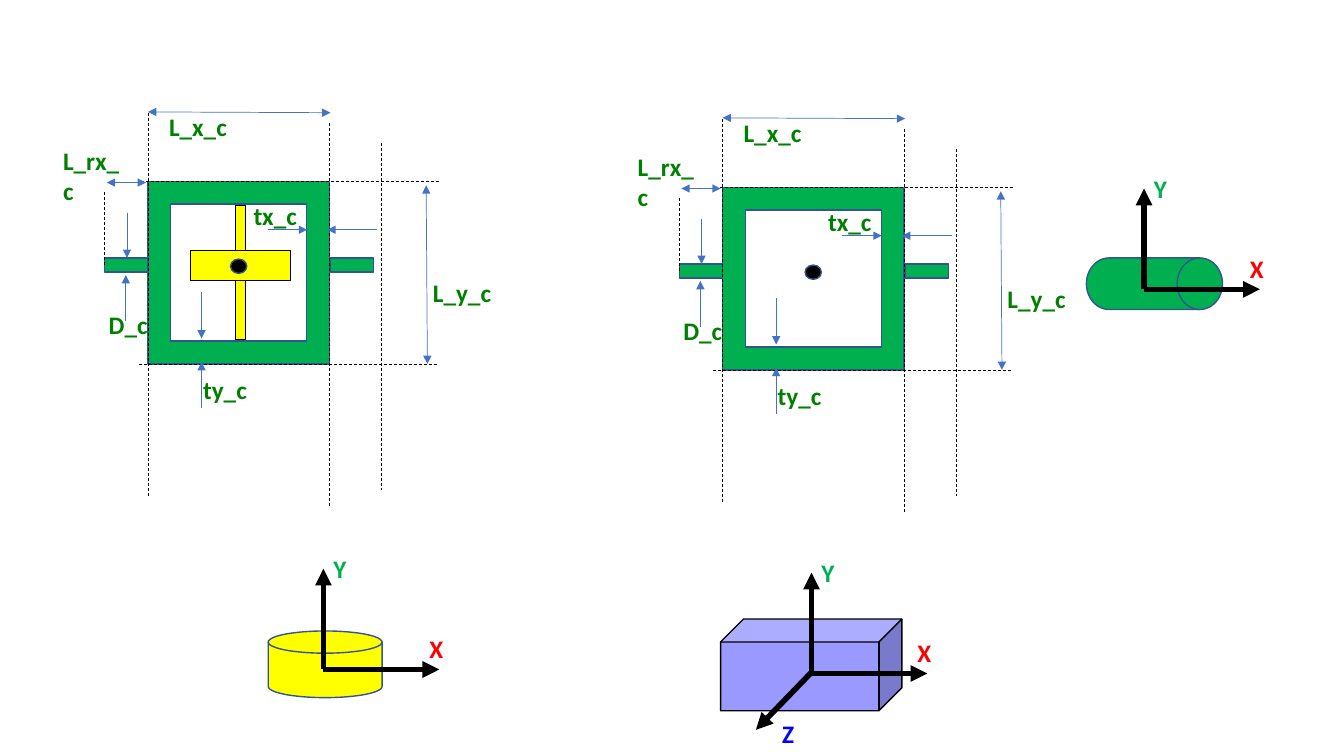
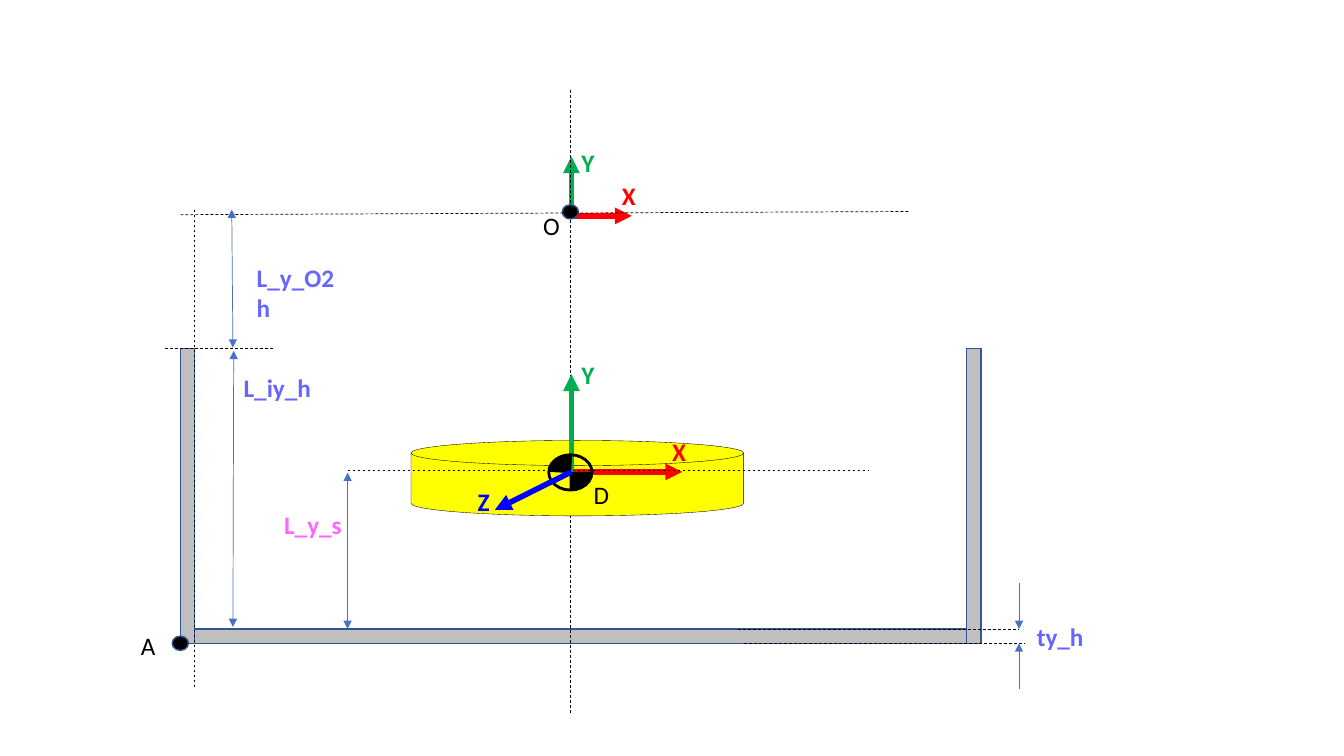
from lxml import etree
from pptx import Presentation
from pptx.dml.color import RGBColor
from pptx.enum.dml import MSO_LINE
from pptx.enum.shapes import MSO_CONNECTOR, MSO_SHAPE
from pptx.enum.text import MSO_AUTO_SIZE
from pptx.oxml.ns import qn
from pptx.util import Cm, Pt

BLACK = RGBColor(0x00, 0x00, 0x00)
GREEN = RGBColor(0x00, 0xB0, 0x50)
DARK_GREEN = RGBColor(0x00, 0x80, 0x00)
YELLOW = RGBColor(0xFF, 0xFF, 0x00)
RED = RGBColor(0xFF, 0x00, 0x00)
BLUE = RGBColor(0x00, 0x00, 0xFF)
GRAY = RGBColor(0xBF, 0xBF, 0xBF)
LILAC = RGBColor(0x99, 0x99, 0xFF)
VIOLET = RGBColor(0x66, 0x66, 0xFF)
PINK = RGBColor(0xFF, 0x66, 0xFF)
OUTLINE = RGBColor(0x32, 0x54, 0x91)
DIMENSION = RGBColor(0x44, 0x72, 0xC4)


class Drawing:
    """Draws on the current slide; all lengths are centimetres."""

    font_name = "Calibri"
    font_size = Pt(18)
    label_height = 1.02
    letter_width = 0.88

    def __init__(self):
        self.presentation = Presentation()
        self.presentation.slide_width = Cm(33.87)
        self.presentation.slide_height = Cm(19.05)
        self.slide = None

    def new_slide(self):
        layout = self.presentation.slide_layouts[6]
        self.slide = self.presentation.slides.add_slide(layout)

    def shape(self, kind, left, top, width, height, fill,
              line=OUTLINE, line_width=1):
        shape = self.slide.shapes.add_shape(
            kind, Cm(left), Cm(top), Cm(width), Cm(height))
        shape.shadow.inherit = False
        if fill is None:
            shape.fill.background()
        else:
            shape.fill.solid()
            shape.fill.fore_color.rgb = fill
        shape.line.color.rgb = line
        shape.line.width = Pt(line_width)
        return shape

    def dot(self, left, top):
        self.shape(MSO_SHAPE.OVAL, left, top, 0.41, 0.36, BLACK)

    def line(self, x1, y1, x2, y2, color, width, ends=()):
        """ends lists the arrowheads: headEnd at the start, tailEnd at the end."""
        connector = self.slide.shapes.add_connector(
            MSO_CONNECTOR.STRAIGHT, Cm(x1), Cm(y1), Cm(x2), Cm(y2))
        connector.line.color.rgb = color
        connector.line.width = Pt(width)
        line_xml = connector.line._get_or_add_ln()
        for end in ends:
            etree.SubElement(line_xml, qn(f"a:{end}"), type="triangle")
        etree.SubElement(connector._element.spPr, qn("a:effectLst"))
        return connector

    def dashed(self, *points):
        connector = self.line(*points, BLACK, 0.5)
        connector.line.dash_style = MSO_LINE.DASH
        return connector

    def pointer(self, *points):
        self.line(*points, DIMENSION, 0.5, ["tailEnd"])

    def dimension(self, *points):
        self.line(*points, DIMENSION, 0.5, ["headEnd", "tailEnd"])

    def axis(self, *points, color=BLACK):
        self.line(*points, color, 4, ["tailEnd"])

    def label(self, text, left, top, width, color, bold=True):
        box = self.slide.shapes.add_textbox(
            Cm(left), Cm(top), Cm(width), Cm(self.label_height))
        frame = box.text_frame
        frame.word_wrap = False
        frame.auto_size = MSO_AUTO_SIZE.SHAPE_TO_FIT_TEXT
        paragraph = frame.paragraphs[0]
        paragraph.text = text
        paragraph.font.name = self.font_name
        paragraph.font.size = self.font_size
        paragraph.font.bold = bold
        paragraph.font.color.rgb = color

    def letter(self, text, left, top, color, bold=True):
        self.label(text, left, top, self.letter_width, color, bold)

    def axes(self, x, y, x_length=2.92, y_length=2.54,
             x_color=BLACK, y_color=BLACK, y_label_rise=0.51):
        """X and Y arrows from a common origin, each with its letter."""
        self.axis(x, y, x + x_length, y, color=x_color)
        self.axis(x, y, x, y - y_length, color=y_color)
        self.letter("X", x + x_length - 0.5, y - 1.03, RED)
        self.letter("Y", x, y - y_length - y_label_rise, GREEN)

    def gimbal(self, left, top):
        """Frame with two rods and its dimensions, placed from the frame corner."""
        def place(*points):
            return [value + (top if index % 2 else left)
                    for index, value in enumerate(points)]

        self.shape(MSO_SHAPE.RECTANGLE, *place(4.6, 1.93), 1.09, 0.36, GREEN)
        self.shape(MSO_SHAPE.FRAME, left, top, 4.57, 4.6, GREEN)
        left_rod = self.shape(
            MSO_SHAPE.RECTANGLE, *place(-1.09, 1.93), 1.09, 0.36, GREEN)

        for points in [(5.89, -0.97, 5.89, 7.77), (0, -1.73, 0, 7.95),
                       (4.57, -1.47, 4.57, 8.2), (-0.23, 4.6, 7.29, 4.6),
                       (-0.18, 0, 7.34, 0)]:
            self.dashed(*place(*points))
        rod_guide = self.dashed(*place(-1.09, 0.28, -1.09, 2.11))
        rod_guide.end_connect(left_rod, 1)

        for points in [(0, -1.75, 4.6, -1.73), (7.01, 0.1, 7.04, 4.6),
                       (-1.04, 0.03, -0.05, 0.03)]:
            self.dimension(*place(*points))
        for points in [(-0.53, 0.79, -0.53, 1.93), (-0.56, 3.53, -0.56, 2.36),
                       (1.35, 2.79, 1.35, 3.96), (1.35, 5.72, 1.35, 4.55),
                       (3.02, 1.22, 4.01, 1.22), (5.77, 1.22, 4.52, 1.22)]:
            self.pointer(*place(*points))
        for text, x, y, width in [
                ("L_x_c", 0.28, -1.9, 1.98), ("L_y_c", 6.93, 2.29, 2.01),
                ("D_c", -1.24, 3.1, 1.5), ("L_rx_c", -2.39, -1.04, 2.18),
                ("ty_c", 1.14, 4.75, 1.63), ("tx_c", 2.41, 0.36, 1.63)]:
            self.label(text, *place(x, y), width, DARK_GREEN)
        self.dot(*place(2.08, 1.96))


def build_gimbal_slide(drawing):
    drawing.new_slide()
    for bounds in [(5.92, 5.16, 0.25, 3.4), (4.8, 6.3, 2.51, 0.76)]:
        drawing.shape(MSO_SHAPE.RECTANGLE, *bounds, YELLOW, BLACK, 0.25)
    drawing.gimbal(3.73, 4.57)
    drawing.gimbal(18.21, 4.72)

    drawing.shape(MSO_SHAPE.FLOWCHART_DIRECT_ACCESS_STORAGE,
                  27.38, 6.5, 3.43, 1.3, GREEN)
    drawing.axes(28.83, 7.29)
    drawing.shape(MSO_SHAPE.FLOWCHART_MAGNETIC_DISK,
                  6.76, 15.9, 2.87, 1.68, YELLOW)
    drawing.axes(8.15, 16.87)
    drawing.shape(MSO_SHAPE.CUBE, 18.16, 15.6, 4.57, 2.31, LILAC, BLACK)
    drawing.axes(20.45, 16.97)
    drawing.axis(20.5, 16.89, 19.05, 18.39)
    drawing.letter("Z", 19.46, 17.98, BLUE)


def build_housing_slide(drawing):
    drawing.new_slide()
    for bounds in [(4.55, 8.79, 0.36, 7.42), (4.9, 15.85, 19.46, 0.36),
                   (24.36, 8.79, 0.36, 7.42)]:
        drawing.shape(MSO_SHAPE.RECTANGLE, *bounds, GRAY)

    drawing.axes(14.4, 5.44, 1.52, 1.5, RED, GREEN, y_label_rise=0.36)
    drawing.dot(14.17, 5.16)
    for points in [(4.9, 5.28, 4.9, 17.37), (22.89, 5.33, 4.55, 5.41),
                   (18.75, 16.21, 25.81, 16.21), (18.59, 15.85, 25.68, 15.85),
                   (4.17, 8.79, 6.91, 8.79), (14.38, 2.26, 14.38, 17.96)]:
        drawing.dashed(*points)
    drawing.dot(4.34, 16.03)

    for points in [(5.89, 8.84, 5.87, 15.8), (5.84, 5.28, 5.87, 8.76),
                   (8.76, 11.91, 8.76, 15.85)]:
        drawing.dimension(*points)
    drawing.pointer(25.68, 14.68, 25.68, 15.85)
    drawing.pointer(25.68, 17.37, 25.68, 16.21)
    for text, left, top, width, color in [
            ("L_iy_h", 5.89, 9.25, 2.24, VIOLET),
            ("L_y_O2h", 6.22, 6.48, 2.79, VIOLET),
            ("ty_h", 25.88, 15.52, 1.7, VIOLET),
            ("L_y_s", 6.91, 12.7, 1.98, PINK)]:
        drawing.label(text, left, top, width, color)

    drawing.shape(MSO_SHAPE.FLOWCHART_MAGNETIC_DISK,
                  10.36, 11.1, 8.38, 1.9, YELLOW, BLACK, 0.25)
    drawing.axes(14.4, 11.89, 2.79, 2.46, RED, GREEN)
    mass_center = (13.83, 11.46, 1.09, 0.89)
    for rotation in (3.3, 180):
        quadrant = drawing.shape(MSO_SHAPE.PIE, *mass_center, BLACK, BLACK)
        quadrant.adjustments[0] = 108
        quadrant.adjustments[1] = 162
        quadrant.rotation = rotation
    drawing.shape(MSO_SHAPE.OVAL, *mass_center, None, BLACK, 2)
    drawing.axis(14.4, 11.89, 12.47, 12.85, color=BLUE)
    drawing.letter("Z", 11.79, 12.12, BLUE)
    drawing.dashed(8.76, 11.86, 21.87, 11.86)
    for text, left, top in [("O", 13.44, 5.18), ("A", 3.3, 15.77),
                            ("D", 14.71, 11.96)]:
        drawing.letter(text, left, top, BLACK, bold=False)


def main():
    drawing = Drawing()
    build_gimbal_slide(drawing)
    build_housing_slide(drawing)
    drawing.presentation.save("out.pptx")


if __name__ == "__main__":
    main()
